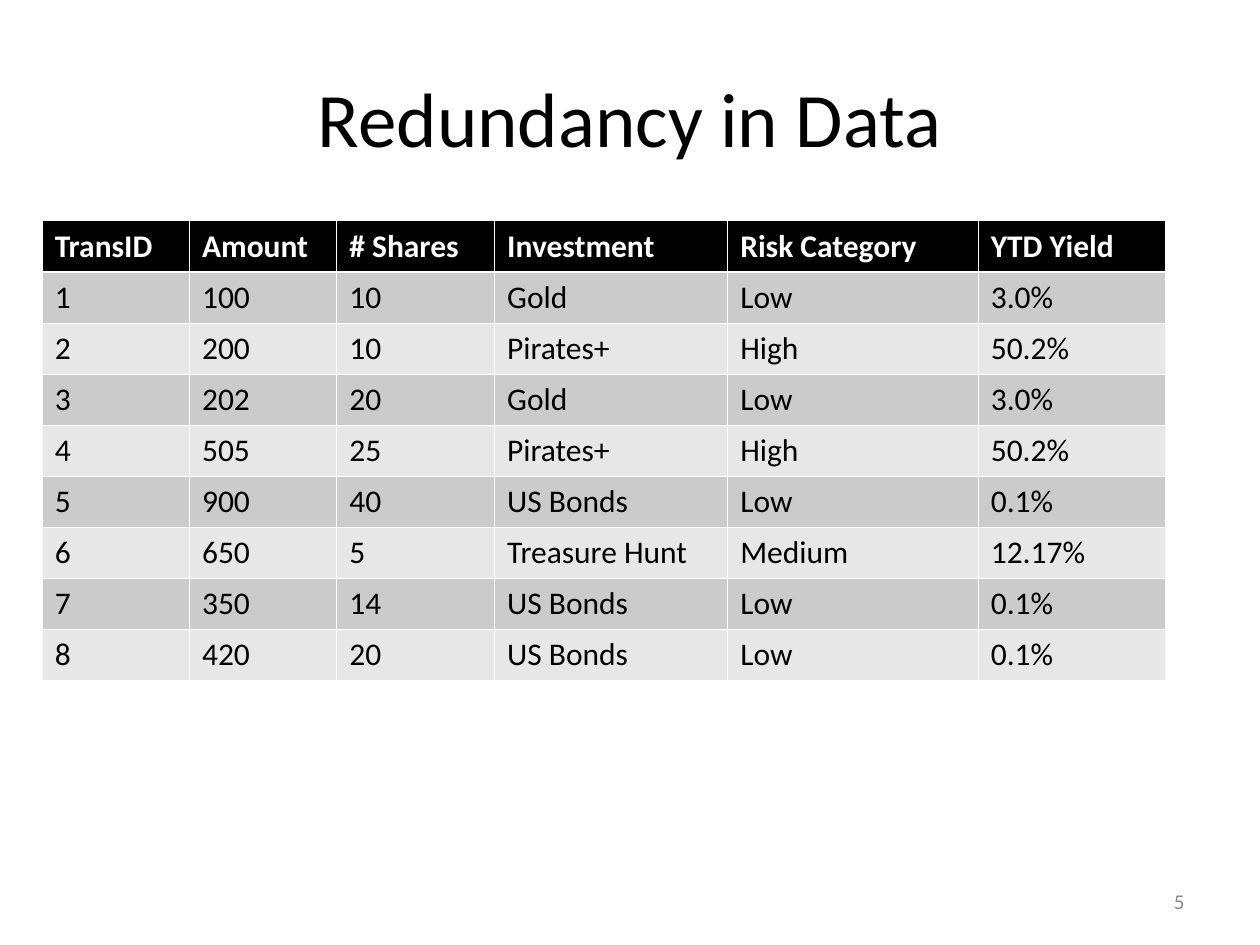
from dataclasses import dataclass
from typing import NamedTuple

from lxml.etree import SubElement as Sub
from pptx import Presentation
from pptx.dml.color import RGBColor as RGB
from pptx.enum.text import MSO_ANCHOR as Anchor, PP_ALIGN as Align
from pptx.oxml.ns import qn
from pptx.util import Cm, Pt


@dataclass(frozen=True)
class Theme:
    font: str = "Calibri"
    ink: str = "000000"
    paper: str = "FFFFFF"
    dark: str = "CBCBCB"
    light: str = "E7E7E7"
    gray: str = "898989"
    title: int = 44
    body: int = 18
    small: int = 12
    thin: float = 0.45
    thick: float = 1.47


class Box(NamedTuple):
    left: float
    top: float
    width: float
    height: float


class Trade(NamedTuple):
    id: str
    amount: str
    shares: str
    asset: str
    risk: str
    gain: str


THEME = Theme()
WIDTHS = (2.97, 2.97, 3.18, 4.7, 5.05, 3.78)
ROW = 1.03
HEAD = Trade("TransID", "Amount", "# Shares", "Investment", "Risk Category", "YTD Yield")
TRADES = (
    Trade("1", "100", "10", "Gold", "Low", "3.0%"),
    Trade("2", "200", "10", "Pirates+", "High", "50.2%"),
    Trade("3", "202", "20", "Gold", "Low", "3.0%"),
    Trade("4", "505", "25", "Pirates+", "High", "50.2%"),
    Trade("5", "900", "40", "US Bonds", "Low", "0.1%"),
    Trade("6", "650", "5", "Treasure Hunt", "Medium", "12.17%"),
    Trade("7", "350", "14", "US Bonds", "Low", "0.1%"),
    Trade("8", "420", "20", "US Bonds", "Low", "0.1%"),
)


def write(frame, text: str, size: int, color: str, align=Align.LEFT, bold: bool = False) -> None:
    """Fill a text frame with one styled paragraph."""
    frame.text = text
    para = frame.paragraphs[0]
    para.alignment = align
    font = para.font
    font.name, font.size, font.bold = THEME.font, Pt(size), bold
    font.color.rgb = RGB.from_string(color)


def edge(cell, side: str, width: float) -> None:
    """Add one white border line to a cell."""
    props = cell._tc.get_or_add_tcPr()
    line = Sub(props, qn(f"a:ln{side}"), w=str(Pt(width)))
    Sub(Sub(line, qn("a:solidFill")), qn("a:srgbClr"), val=THEME.paper)


def draw_row(table, row: int, trade: Trade) -> None:
    """Write, border and fill the cells of one row."""
    head = row == 0
    fill = THEME.ink if head else THEME.dark if row % 2 else THEME.light
    color = THEME.paper if head else THEME.ink
    lines = {
        "L": THEME.thin,
        "R": THEME.thin,
        "T": THEME.thick if row == 1 else THEME.thin,
        "B": THEME.thick if head else THEME.thin,
    }
    table.rows[row].height = Cm(ROW)
    for col, text in enumerate(trade):
        cell = table.cell(row, col)
        write(cell.text_frame, text, THEME.body, color, bold=head)
        for side, width in lines.items():
            edge(cell, side, width)
        cell.fill.solid()
        cell.fill.fore_color.rgb = RGB.from_string(fill)


def draw_table(slide, left: float, top: float) -> None:
    rows = (HEAD, *TRADES)
    size = Box(left, top, sum(WIDTHS), ROW * len(rows))
    table = slide.shapes.add_table(len(rows), len(WIDTHS), *map(Cm, size)).table
    for col, width in zip(table.columns, WIDTHS):
        col.width = Cm(width)
    for row, trade in enumerate(rows):
        draw_row(table, row, trade)


def main() -> None:
    deck = Presentation()
    deck.slide_width, deck.slide_height = Cm(25.4), Cm(19.05)
    slide = deck.slides.add_slide(deck.slide_layouts[5])

    # Title
    title = slide.shapes.title
    title.left, title.top, title.width, title.height = map(Cm, Box(1.27, 0.76, 22.86, 3.18))
    title.text_frame.vertical_anchor = Anchor.MIDDLE
    write(title.text_frame, "Redundancy in Data", THEME.title, THEME.ink, Align.CENTER)

    # Transactions
    draw_table(slide, 0.85, 4.45)

    # Page number
    page = slide.shapes.add_textbox(*map(Cm, Box(18.2, 17.66, 5.93, 1.01))).text_frame
    page.word_wrap = True
    page.vertical_anchor = Anchor.MIDDLE
    write(page, "5", THEME.small, THEME.gray, Align.RIGHT)

    deck.save("out.pptx")


if __name__ == "__main__":
    main()
